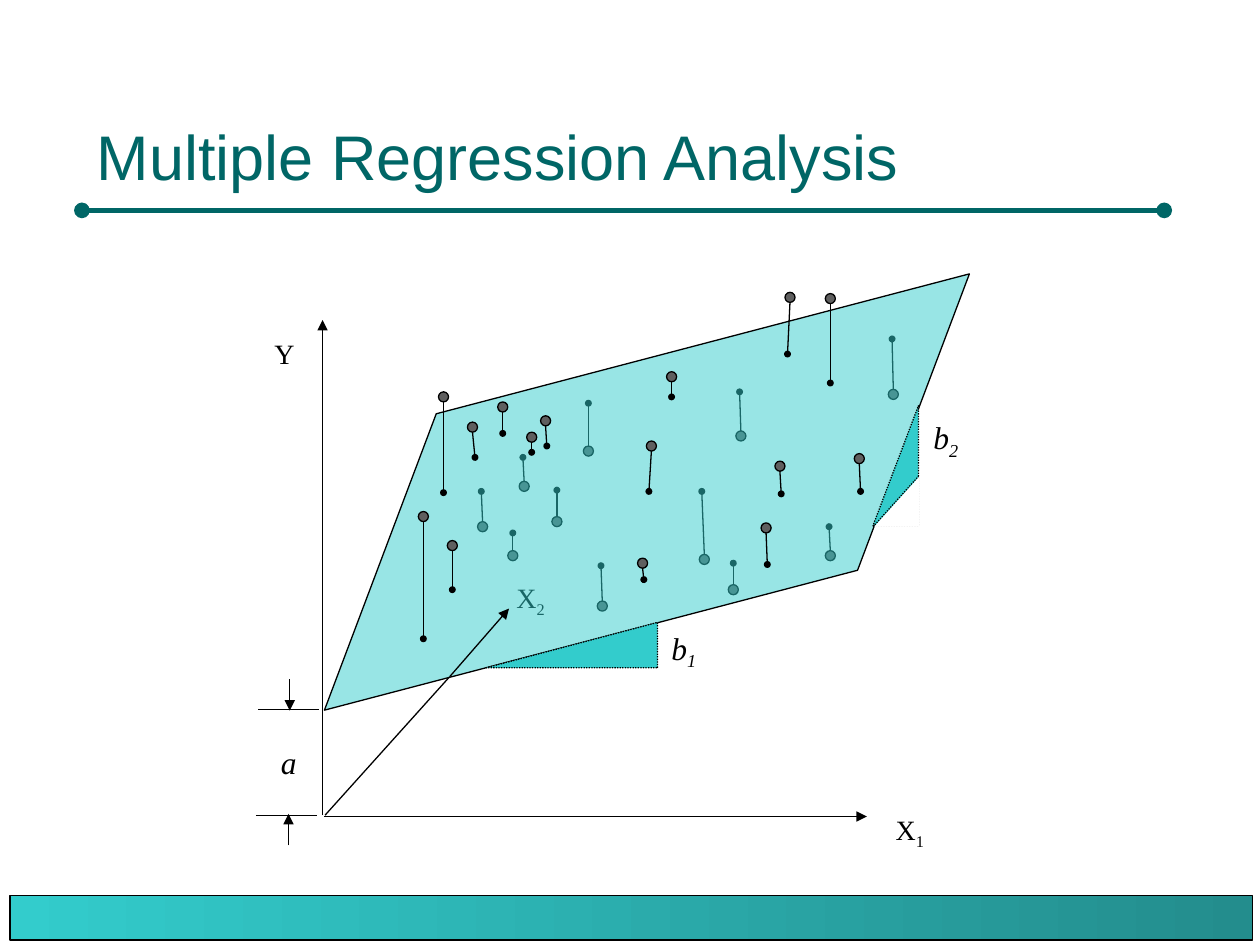
from dataclasses import dataclass

from lxml.etree import SubElement
from pptx import Presentation
from pptx.dml.color import RGBColor as RGB
from pptx.enum.dml import MSO_LINE as Dash
from pptx.enum.shapes import MSO_CONNECTOR as Connector, MSO_SHAPE as Shape
from pptx.enum.text import MSO_ANCHOR as Anchor, MSO_AUTO_SIZE as AutoSize
from pptx.oxml.ns import qn
from pptx.util import Cm, Pt


@dataclass(frozen=True)
class Theme:
    """Colours, fonts and sizes of the slide."""
    ink: RGB = RGB(0, 0, 0)
    paper: RGB = RGB(255, 255, 255)
    title: RGB = RGB(0x00, 0x66, 0x66)
    plane: RGB = RGB(0x33, 0xCC, 0xCC)
    band_end: RGB = RGB(0x23, 0x8D, 0x8D)
    point: RGB = RGB(0x5F, 0x5F, 0x5F)
    title_font: str = "Arial"
    label_font: str = "Times New Roman"
    title_size: float = 36
    axis_size: float = 16
    slope_size: float = 18
    hairline: float = 0.75
    rule: float = 3
    radius: float = 0.04


THEME = Theme()

POINTS_BELOW = [
    (3.88, 1.46, 3.87, 1.11), (4.59, 2.41, 4.58, 2.18), (2.16, 1.86, 2.15, 1.63),
    (2.67, 1.58, 2.67, 1.20), (2.42, 2.14, 2.42, 1.89), (5.09, 1.13, 5.08, 0.69),
    (3.59, 2.44, 3.57, 1.90), (1.83, 2.18, 1.82, 1.90), (2.07, 2.41, 2.07, 2.23),
    (3.82, 2.68, 3.82, 2.47), (2.78, 2.81, 2.77, 2.49),
]
POINTS_ABOVE = [
    (1.52, 1.15, 1.52, 1.91), (4.59, 0.37, 4.59, 1.04), (4.27, 0.36, 4.25, 0.81),
    (1.36, 2.10, 1.36, 3.07), (1.59, 2.33, 1.59, 2.68), (1.75, 1.39, 1.77, 1.63),
    (1.99, 1.23, 1.99, 1.44), (2.22, 1.47, 2.22, 1.59), (2.33, 1.34, 2.34, 1.54),
    (3.17, 1.54, 3.15, 1.90), (3.10, 2.47, 3.11, 2.60), (3.33, 0.99, 3.33, 1.15),
    (4.19, 1.70, 4.20, 1.92), (4.08, 2.19, 4.09, 2.48), (4.82, 1.64, 4.83, 1.90),
]


def inches(value):
    """Convert inches to a length."""
    return Cm(value * 2.54)


class Region:
    """A box on the slide that draws parts relative to its top left corner."""

    def __init__(self, slide, left, top, width, height):
        self.shapes = slide.shapes
        self.left, self.top = left, top
        self.width, self.height = width, height

    def place(self, x, y):
        """Return slide lengths for a point of the region."""
        return inches(self.left + x), inches(self.top + y)

    def line(self, x1, y1, x2, y2, color=THEME.ink, width=THEME.hairline,
             head=None, tail=None, dash=None, end_size="med"):
        """Draw a line with optional ends."""
        line = self.shapes.add_connector(
            Connector.STRAIGHT, *self.place(x1, y1), *self.place(x2, y2))
        line.line.color.rgb = color
        line.line.width = Pt(width)
        if dash:
            line.line.dash_style = dash
        properties = line._element.spPr
        for tag, kind in (("a:headEnd", head), ("a:tailEnd", tail)):
            if kind:
                SubElement(properties.find(qn("a:ln")), qn(tag),
                           type=kind, w=end_size, len=end_size)
        SubElement(properties, qn("a:effectLst"))

    def shape(self, kind, x, y, width, height, fill=None, dash=None,
              outlined=True, flipped=False):
        """Draw a preset shape."""
        shape = self.shapes.add_shape(
            kind, *self.place(x, y), inches(width), inches(height))
        shape.shadow.inherit = False
        if fill is not None:
            shape.fill.solid()
            shape.fill.fore_color.rgb = fill
        if outlined:
            shape.line.color.rgb = THEME.ink
            shape.line.width = Pt(THEME.hairline)
            if dash:
                shape.line.dash_style = dash
        else:
            shape.line.fill.background()
        if flipped:
            shape._element.spPr.find(qn("a:xfrm")).set("flipH", "1")
        return shape

    def label(self, x, y, width, height, text, subscript="",
              size=THEME.axis_size, italic=False):
        """Write a label with an optional subscript."""
        box = self.shapes.add_textbox(
            *self.place(x, y), inches(width), inches(height))
        frame = box.text_frame
        frame.word_wrap = False
        frame.auto_size = AutoSize.SHAPE_TO_FIT_TEXT
        paragraph = frame.paragraphs[0]
        font = paragraph.font
        font.name, font.size, font.italic = THEME.label_font, Pt(size), italic
        font.color.rgb = THEME.ink
        paragraph.add_run().text = text
        if subscript:
            run = paragraph.add_run()
            run.text = subscript
            run.font._element.set("baseline", "-25000")


def draw_title(region):
    """Write the title above its rule."""
    box = region.shapes.add_textbox(
        *region.place(0.02, 0), inches(8.58), inches(1.25))
    frame = box.text_frame
    frame.word_wrap = True
    frame.vertical_anchor = Anchor.BOTTOM
    paragraph = frame.paragraphs[0]
    paragraph.text = "Multiple Regression Analysis"
    font = paragraph.font
    font.name, font.size = THEME.title_font, Pt(THEME.title_size)
    font.color.rgb = THEME.title
    region.line(0, region.height, region.width, region.height,
                THEME.title, THEME.rule, head="oval", tail="oval")


def draw_band(region):
    """Draw the gradient band at the foot."""
    band = region.shape(Shape.RECTANGLE, 0, 0, region.width, region.height)
    band.fill.gradient()
    band.fill.gradient_angle = 180
    colors = (THEME.band_end, THEME.plane)
    for position, (stop, color) in enumerate(zip(band.fill.gradient_stops, colors)):
        stop.color.rgb = color
        stop.position = position


def draw_residuals(region, points, side):
    """Draw observations and their stems; side is 1 above the plane, -1 below."""
    radius = THEME.radius
    for x, y, foot_x, foot_y in points:
        region.shape(Shape.OVAL, x - radius, y - radius,
                     2 * radius, 2 * radius, THEME.point)
        region.line(x, y + side * radius, foot_x, foot_y,
                    tail="oval", end_size="sm")


def draw_axes(region):
    """Draw the three axes with their names."""
    region.line(0.56, 4.47, 0.56, 0.54, tail="triangle")
    region.line(0.58, 4.47, 1.57, 3.37)
    region.line(0.57, 4.48, 4.88, 4.48, tail="triangle")
    region.label(0.08, 0.62, 0.36, 0.37, "Y")
    region.label(5.01, 4.40, 0.46, 0.41, "X", "1")
    region.label(2.00, 2.56, 0.46, 0.41, "X", "2")


def draw_intercept(region):
    """Mark the intercept on the Y axis."""
    region.line(0.05, 3.63, 0.53, 3.63)
    region.line(0.03, 4.47, 0.52, 4.47)
    region.line(0.30, 3.39, 0.30, 3.64, tail="triangle")
    region.line(0.29, 4.71, 0.29, 4.46, tail="triangle")
    region.label(0.13, 3.85, 0.32, 0.40, "a", size=THEME.slope_size, italic=True)


def draw_plane(region):
    """Draw the translucent regression plane."""
    plane = region.shape(Shape.PARALLELOGRAM, 0.22, 0.88, 5.83, 2.05, THEME.plane)
    plane.adjustments[0] = 0.71
    plane.rotation = 345.3
    color = plane._element.spPr.find(qn("a:solidFill")).find(qn("a:srgbClr"))
    SubElement(color, qn("a:alpha"), val="50000")


def draw_slopes(region):
    """Draw the slope triangles along both edges of the plane."""
    dots = Dash.ROUND_DOT
    region.shape(Shape.RIGHT_TRIANGLE, 1.86, 2.94, 1.36, 0.36,
                 THEME.plane, dots, flipped=True)
    region.shape(Shape.RIGHT_TRIANGLE, 4.93, 1.22, 0.36, 0.95,
                 THEME.plane, dots, flipped=True)
    region.line(4.93, 2.18, 5.29, 1.78, dash=dots)
    region.shape(Shape.RIGHT_TRIANGLE, 4.94, 1.78, 0.36, 0.40,
                 THEME.paper, outlined=False, flipped=True)
    for x, y, number in ((3.23, 2.94, "1"), (5.31, 1.27, "2")):
        region.label(x, y, 0.40, 0.44, "b", number, THEME.slope_size, True)


def draw_graph(region):
    """Draw the regression graph from back to front."""
    draw_residuals(region, POINTS_BELOW, -1)
    draw_axes(region)
    draw_intercept(region)
    draw_plane(region)
    draw_slopes(region)
    draw_residuals(region, POINTS_ABOVE, 1)
    region.line(1.57, 3.37, 2.04, 2.83, tail="triangle")


def main():
    """Build and save the slide."""
    deck = Presentation()
    deck.slide_width, deck.slide_height = inches(10), inches(7.5)
    slide = deck.slides.add_slide(deck.slide_layouts[6])
    draw_band(Region(slide, 0.08, 7.11, 9.86, 0.35))
    draw_graph(Region(slide, 2, 2, 6, 5))
    draw_title(Region(slide, 0.65, 0.33, 8.59, 1.34))
    deck.save("out.pptx")


if __name__ == "__main__":
    main()
